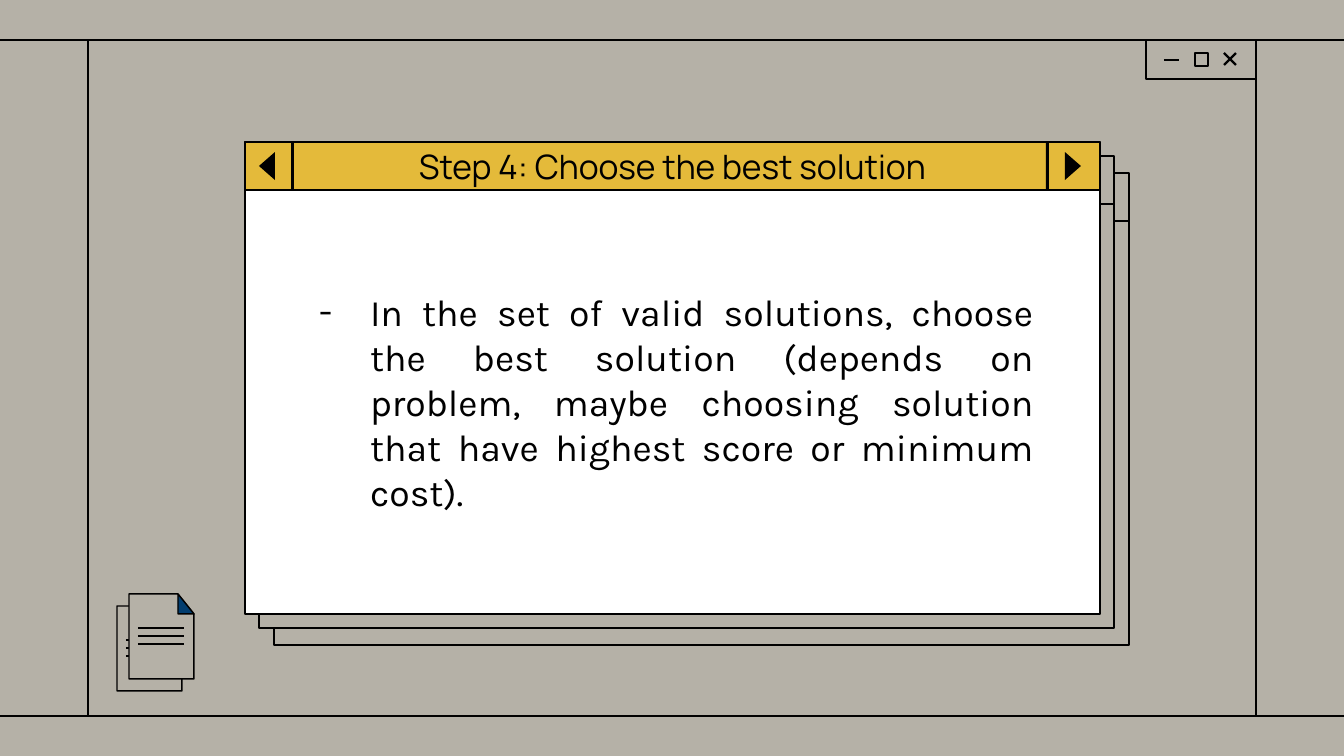
from lxml.etree import SubElement
from pptx import Presentation
from pptx.dml.color import RGBColor
from pptx.enum.shapes import MSO_CONNECTOR as Link, MSO_SHAPE as Shape
from pptx.enum.text import MSO_ANCHOR as Anchor, MSO_AUTO_SIZE as Fit, PP_ALIGN as Align
from pptx.oxml.ns import qn
from pptx.util import Pt

SCALE = 914400 / 134.4
GREY, GOLD, BLUE = "B5B1A7", "E4BA3A", "023D6F"
BLACK, WHITE = "000000", "FFFFFF"

# Window: left, top, width, header height and body height
LEFT, TOP, WIDTH, HEAD, BODY = 245, 142, 855, 48, 424


def px(n):
    return round(n * SCALE)


def color(code):
    return RGBColor.from_string(code)


def paint(shape, fill=None, line=BLACK, width=0.75):
    if fill:
        shape.fill.solid()
        shape.fill.fore_color.rgb = color(fill)
    else:
        shape.fill.background()
    if line:
        shape.line.color.rgb = color(line)
        shape.line.width = Pt(width)
    else:
        shape.line.fill.background()


def rect(shapes, x, y, w, h, fill=None, line=BLACK, width=0.75):
    box = shapes.add_shape(Shape.RECTANGLE, px(x), px(y), px(w), px(h))
    box.shadow.inherit = False
    paint(box, fill, line, width)


def poly(shapes, points, fill, line=BLACK):
    pen = shapes.build_freeform(*points[0], scale=SCALE)
    pen.add_line_segments(points[1:], close=True)
    form = pen.convert_to_shape()
    form.shadow.inherit = False
    paint(form, fill, line)


def rule(shapes, x1, y1, x2, y2, width=0.75):
    line = shapes.add_connector(Link.STRAIGHT, px(x1), px(y1), px(x2), px(y2))
    line.line.color.rgb = color(BLACK)
    line.line.width = Pt(width)
    SubElement(line.element.spPr, qn("a:effectLst"))


def place(shapes, holder, x, y, w, h):
    """Move a placeholder to its spot, in front of everything drawn so far."""
    shapes.element.append(holder.element)
    holder.left, holder.top, holder.width, holder.height = map(px, (x, y, w, h))
    frame = holder.text_frame
    frame.word_wrap = True
    frame.auto_size = Fit.NONE
    frame.vertical_anchor = Anchor.MIDDLE
    frame.margin_left = frame.margin_right = px(13)
    frame.margin_top = frame.margin_bottom = px(13)


def write(holder, text, face, size, align, bullet=None):
    para = holder.text_frame.paragraphs[0]
    para.text = text
    para.alignment = align
    para.space_before = Pt(0)
    if bullet:
        props = para._p.get_or_add_pPr()
        props.set("marL", str(px(67)))
        props.set("indent", str(px(-51)))
        tint = SubElement(props, qn("a:buClr"))
        SubElement(tint, qn("a:srgbClr"), val=BLACK)
        SubElement(props, qn("a:buFont"), typeface=face)
        SubElement(props, qn("a:buChar"), char=bullet)
    para.font.name = face
    para.font.size = Pt(size)
    para.font.color.rgb = color(BLACK)


def frame(shapes):
    rect(shapes, 1146, 40, 110, 39, GREY)
    for y in (40, 716):
        rule(shapes, 0, y, 1344, y)
    for x in (88, 1256):
        rule(shapes, x, 40, x, 716)
    # Minimise, maximise and close marks
    rule(shapes, 1164, 60, 1179, 60, 1.25)
    rect(shapes, 1195, 53, 13, 13, width=1)
    rule(shapes, 1224, 53, 1236, 65, 1.25)
    rule(shapes, 1224, 65, 1236, 53, 1.25)


def window(shapes, x, y, fill):
    rect(shapes, x, y + HEAD, WIDTH, BODY, fill)
    rect(shapes, x, y, WIDTH, HEAD, fill)


def arrow(shapes, base, tip):
    mid = TOP + HEAD // 2
    points = [(base, mid - 14), (tip, mid), (base, mid + 14)]
    poly(shapes, points, BLACK, None)


def page(shapes, x, y, fold):
    w, h, cut, drop = 65, 85, 49, 20
    poly(shapes, [(x, y), (x, y + h), (x + w, y + h),
                  (x + w, y + drop), (x + cut, y)], GREY)
    poly(shapes, [(x + cut, y), (x + cut, y + drop), (x + w, y + drop)], fold)
    for row in range(3):
        line_y = y + 34 + 8 * row
        rule(shapes, x + 9, line_y, x + 55, line_y)


def main():
    deck = Presentation()
    deck.slide_width, deck.slide_height = px(1344), px(756)
    slide = deck.slides.add_slide(deck.slide_layouts[1])
    slide.background.fill.solid()
    slide.background.fill.fore_color.rgb = color(GREY)
    shapes = slide.shapes
    title, body = shapes.title, slide.placeholders[1]

    frame(shapes)

    # Stacked windows
    window(shapes, 274, 173, GREY)
    window(shapes, 259, 156, GREY)
    window(shapes, LEFT, TOP, WHITE)

    # Title bar with its arrows
    place(shapes, title, LEFT, TOP, WIDTH, HEAD)
    paint(title, GOLD)
    write(title, "Step 4: Choose the best solution", "Manrope", 18, Align.CENTER)
    for x in (291, 1046):
        rect(shapes, x, TOP, 3, HEAD, BLACK, None)
    arrow(shapes, 275, 259)
    arrow(shapes, 1065, 1081)

    # Pages in the corner
    page(shapes, 117, 606, GOLD)
    page(shapes, 129, 594, BLUE)

    # Body
    place(shapes, body, 290, 286, 757, 231)
    write(body, "In the set of valid solutions, choose the best solution "
          "(depends on problem, maybe choosing solution that have highest "
          "score or minimum cost).", "Karla", 20, Align.JUSTIFY, "-")

    deck.save("out.pptx")


if __name__ == "__main__":
    main()
